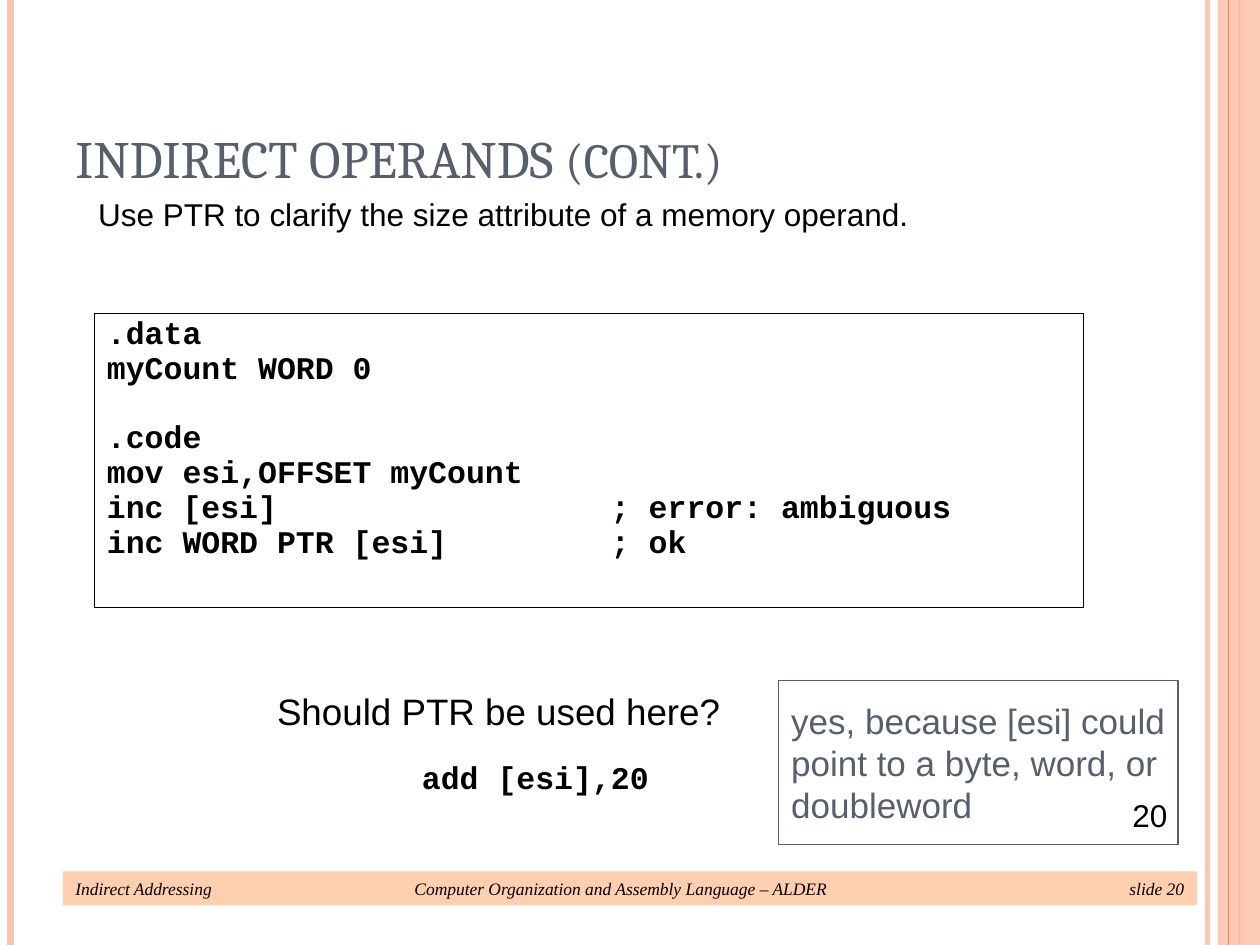
import pptx
import pptx.dml.color
import pptx.enum.shapes
import pptx.enum.text
import pptx.oxml.ns
import pptx.util
from lxml import etree

Pt = pptx.util.Pt
qn = pptx.oxml.ns.qn
ANCHOR = pptx.enum.text.MSO_ANCHOR

COLORS = {
    "peach": "FEC3AE",
    "orange": "FE8637",
    "footer": "FFCFAF",
    "slate": "575F6D",
    "black": "000000",
}
WIDTH, HEIGHT = 720, 540


def rgb(name):
    return pptx.dml.color.RGBColor.from_string(COLORS[name])


def set_opacity(shape, percent):
    color = shape._element.spPr.find(".//" + qn("a:srgbClr"))
    etree.SubElement(color, qn("a:alpha")).set("val", str(percent * 1000))


def add_rule(slide, x, color, width):
    """Full-height vertical line."""
    line = slide.shapes.add_connector(
        pptx.enum.shapes.MSO_CONNECTOR.STRAIGHT, Pt(x), Pt(0), Pt(x), Pt(HEIGHT))
    line.line.color.rgb = rgb(color)
    line.line.width = Pt(width)
    etree.SubElement(line._element.spPr, qn("a:effectLst"))
    return line


def add_box(slide, box, fill=None, line=None):
    shape = slide.shapes.add_shape(
        pptx.enum.shapes.MSO_SHAPE.RECTANGLE, *map(Pt, box))
    shape.shadow.inherit = False
    if fill:
        shape.fill.solid()
        shape.fill.fore_color.rgb = rgb(fill)
    else:
        shape.fill.background()
    if line:
        shape.line.color.rgb = rgb(line)
        shape.line.width = Pt(0.75)
    else:
        shape.line.fill.background()
    return shape


def prepare_frame(shape, top=10.8, bottom=10.8, anchor=ANCHOR.TOP):
    frame = shape.text_frame
    frame.word_wrap = True
    frame.margin_left = frame.margin_right = Pt(7.2)
    frame.margin_top, frame.margin_bottom = Pt(top), Pt(bottom)
    frame.vertical_anchor = anchor
    return frame


def add_text_box(slide, box, **options):
    return prepare_frame(slide.shapes.add_textbox(*map(Pt, box)), **options)


def format_paragraph(paragraph, before=0, spacing=None, tabs=()):
    paragraph.alignment = pptx.enum.text.PP_ALIGN.LEFT
    paragraph.space_before = Pt(before)
    if spacing:
        paragraph.line_spacing = spacing
    if tabs:
        tab_list = etree.SubElement(paragraph._p.get_or_add_pPr(), qn("a:tabLst"))
        for position, alignment in tabs:
            etree.SubElement(tab_list, qn("a:tab"),
                             pos=str(int(Pt(position))), algn=alignment)


def add_run(paragraph, text, size, font="Arial", color="black", bold=False, italic=False):
    run = paragraph.add_run()
    run.text = text
    run.font.size = Pt(size)
    run.font.name = font
    run.font.color.rgb = rgb(color)
    run.font.bold = bold
    run.font.italic = italic


def add_side_bands(slide):
    set_opacity(add_rule(slide, 690, "peach", 3), 93)
    add_rule(slide, 6, "peach", 4.5)
    add_rule(slide, 708, "orange", 1.5)
    set_opacity(add_box(slide, (696, 0, WIDTH - 696, HEIGHT), fill="peach"), 87)
    add_rule(slide, 702, "orange", 0.75)


def add_footer(slide, box):
    frame = prepare_frame(add_box(slide, box, fill="footer"), 3.6, 3.6)
    paragraph = frame.paragraphs[0]
    format_paragraph(paragraph, 6.2, tabs=[(311.5, "ctr"), (633.6, "r")])
    parts = ("Indirect Addressing",
             "Computer Organization and Assembly Language – ALDER",
             "slide 20")
    add_run(paragraph, "\t".join(parts), 10, "Times New Roman", italic=True)


def add_title(slide, box):
    frame = add_text_box(slide, box, top=3.6, bottom=3.6, anchor=ANCHOR.BOTTOM)
    paragraph = frame.paragraphs[0]
    format_paragraph(paragraph)
    add_run(paragraph, "INDIRECT OPERANDS ", 30, "Cambria", "slate")
    add_run(paragraph, "(CONT.)", 28, "Cambria", "slate")


def add_code(slide, box):
    frame = prepare_frame(add_box(slide, box, line="black"), bottom=18)
    sections = [
        [".data", "myCount WORD 0"],
        [".code", "mov esi,OFFSET myCount",
         "inc [esi]\t; error: ambiguous", "inc WORD PTR [esi]\t; ok"],
    ]
    paragraph = frame.paragraphs[0]
    for section, lines in enumerate(sections):
        for row, text in enumerate(lines):
            if section or row:
                paragraph = frame.add_paragraph()
            # A new section opens one line lower
            before = 31.1 if section and not row else 11.2
            format_paragraph(paragraph, before, 0.4, [(288, "l")])
            add_run(paragraph, text, 18, "Courier New", bold=True)


def add_statement(slide, box):
    paragraph = add_text_box(slide, box).paragraphs[0]
    format_paragraph(paragraph, 11.2)
    add_run(paragraph, "Use PTR to clarify the size attribute of a memory operand.", 18)


def add_question(slide, box):
    frame = add_text_box(slide, box)
    format_paragraph(frame.paragraphs[0], 13.1)
    add_run(frame.paragraphs[0], "Should PTR be used here?", 21)
    paragraph = frame.add_paragraph()
    format_paragraph(paragraph, 11.2, tabs=[(82.8, "l")])
    add_run(paragraph, "\t", 21)
    add_run(paragraph, "add [esi],20", 18, "Courier New", bold=True)


def add_answer(slide, box):
    paragraph = prepare_frame(add_box(slide, box, line="slate")).paragraphs[0]
    format_paragraph(paragraph, 12.5)
    add_run(paragraph, "yes, because [esi] could point to a byte, word, or doubleword",
            20, color="slate")


def add_page_number(slide, box):
    paragraph = add_text_box(slide, box, top=3.6, bottom=3.6).paragraphs[0]
    format_paragraph(paragraph)
    add_run(paragraph, "20", 18)


def main():
    presentation = pptx.Presentation()
    presentation.slide_width, presentation.slide_height = Pt(WIDTH), Pt(HEIGHT)
    slide = presentation.slides.add_slide(presentation.slide_layouts[6])

    # Frame of the slide
    add_side_bands(slide)
    add_footer(slide, (36, 498, 648, 19.4))

    # Content
    add_title(slide, (36, 21.6, 588, 90))
    add_code(slide, (54, 179.3, 565.2, 167.8))
    add_statement(slide, (49, 100.8, 640, 43.2))
    add_question(slide, (151.2, 383, 414, 83.5))
    add_answer(slide, (445, 389, 228.2, 93.6))
    add_page_number(slide, (640, 451.4, 48.2, 41))

    presentation.save("out.pptx")


if __name__ == "__main__":
    main()
